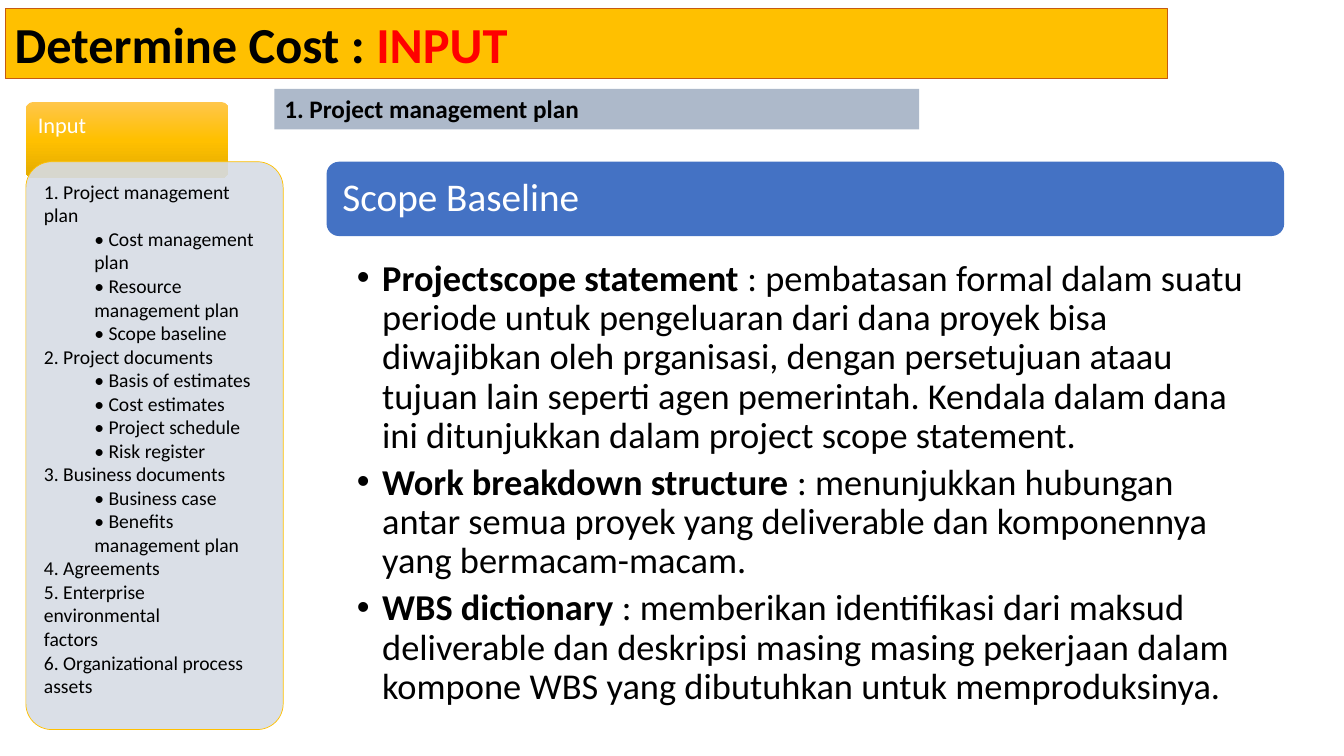
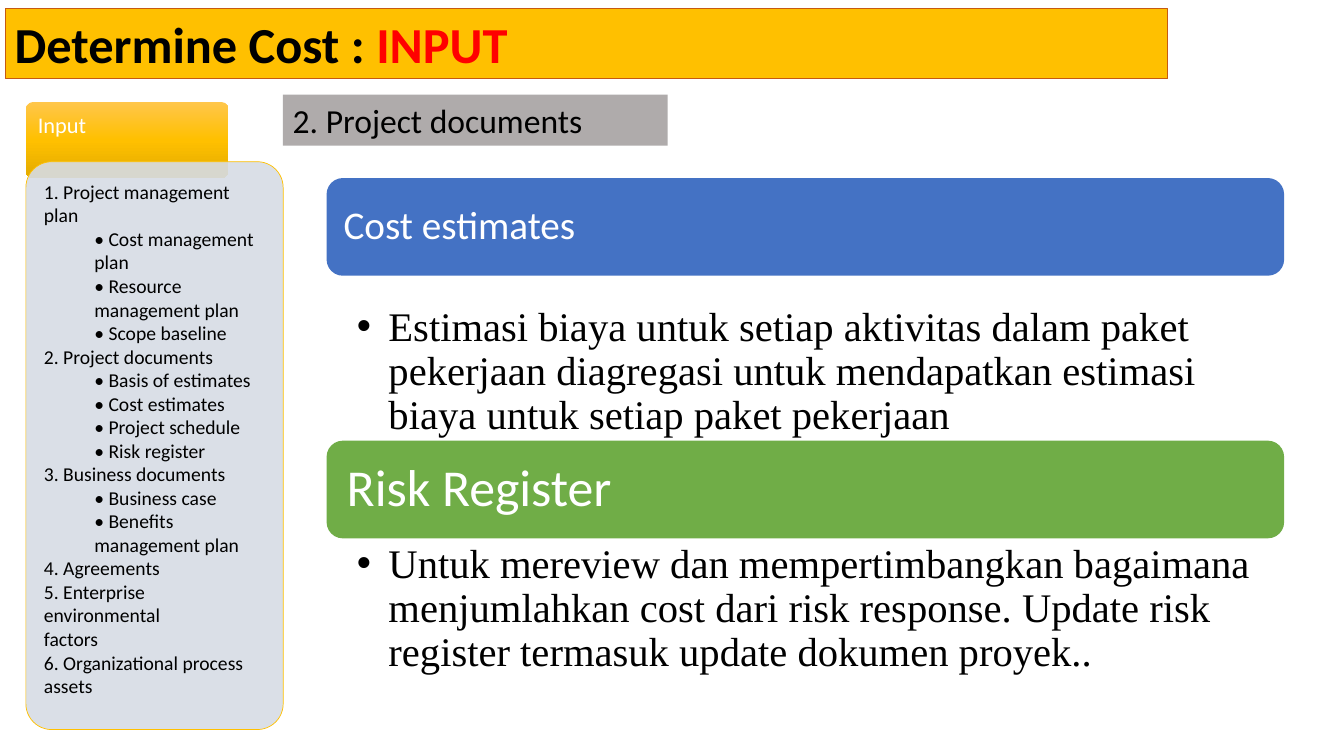
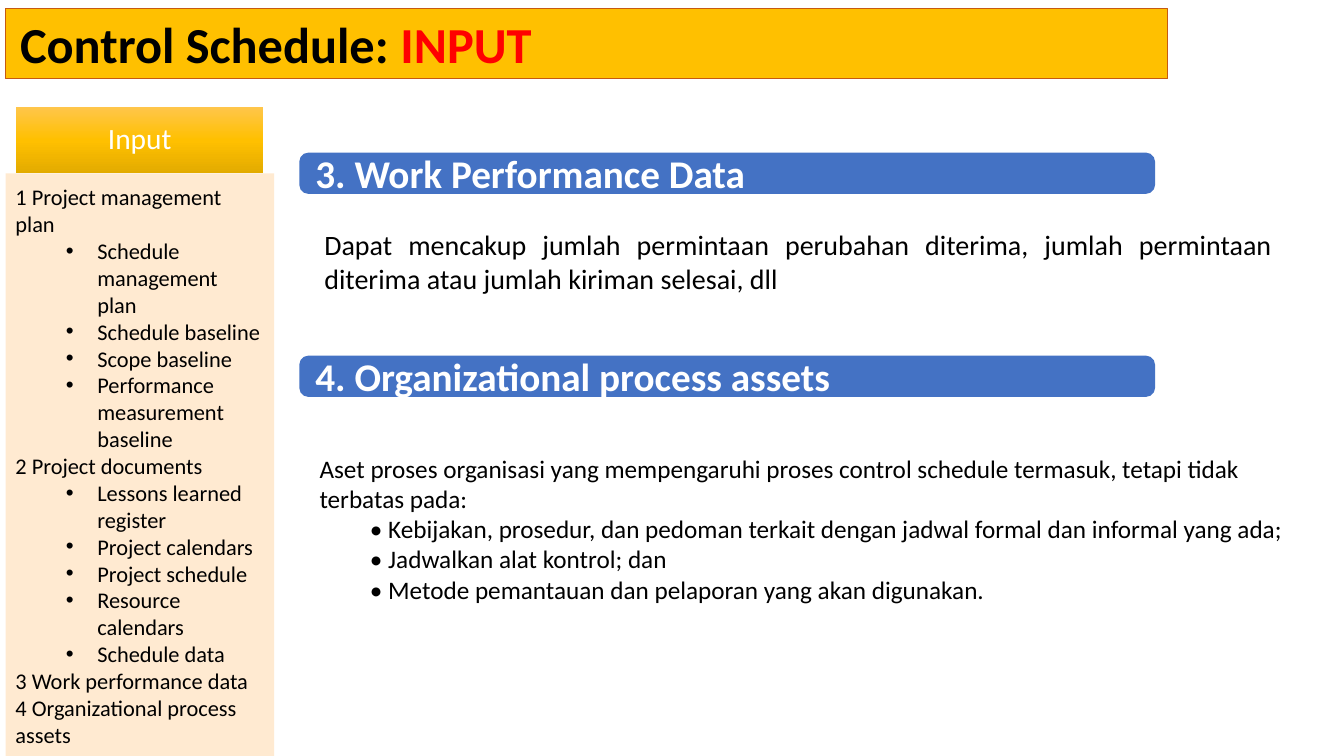
import copy
import dataclasses

import pptx
import pptx.dml.color
import pptx.enum.shapes
import pptx.enum.text
import pptx.oxml.ns
import pptx.oxml.xmlchemy
import pptx.util
from lxml import etree

Pt = pptx.util.Pt
qn = pptx.oxml.ns.qn
SHAPES = pptx.enum.shapes.MSO_SHAPE
ANCHOR = pptx.enum.text.MSO_ANCHOR
ALIGN = pptx.enum.text.PP_ALIGN

COLORS = {
    "black": "000000",
    "white": "FFFFFF",
    "red": "FF0000",
    "amber": "FFC000",
    "amber_light": "FFC64B",
    "amber_dark": "E3AB00",
    "rust": "C55A11",
    "blue": "4472C4",
    "green": "70AD47",
    "steel": "ADB9CA",
    "gray": "AFABAB",
    "mist": "D6DCE5",
    "peach": "FFE8CC",
}
BODY_FONT = "Calibri"
SERIF_FONT = "Times New Roman"
SECTION_LEFT, SECTION_WIDTH = 233.3, 684

COST_INPUTS = [
    ("1. Project management plan",
     ["Cost management plan", "Resource management plan", "Scope baseline"]),
    ("2. Project documents",
     ["Basis of estimates", "Cost estimates", "Project schedule", "Risk register"]),
    ("3. Business documents", ["Business case", "Benefits management plan"]),
    ("4. Agreements", []),
    ("5. Enterprise environmental", []),
    ("factors", []),
    ("6. Organizational process assets", []),
]
SCHEDULE_INPUTS = [
    ("1 Project management plan",
     ["Schedule management plan", "Schedule baseline", "Scope baseline",
      "Performance measurement baseline"]),
    ("2 Project documents",
     ["Lessons learned register", "Project calendars", "Project schedule",
      "Resource calendars", "Schedule data"]),
    ("3 Work performance data", []),
    ("4 Organizational process assets", []),
]
SCOPE_BASELINE = [
    ("Projectscope statement ",
     ": pembatasan formal dalam suatu periode untuk pengeluaran dari dana proyek bisa "
     "diwajibkan oleh prganisasi, dengan persetujuan ataau tujuan lain seperti agen "
     "pemerintah. Kendala dalam dana ini ditunjukkan dalam project scope statement."),
    ("Work breakdown structure ",
     ": menunjukkan hubungan antar semua proyek yang deliverable dan komponennya yang "
     "bermacam-macam."),
    ("WBS dictionary",
     " : memberikan identifikasi dari maksud deliverable dan deskripsi masing masing "
     "pekerjaan dalam kompone WBS yang dibutuhkan untuk memproduksinya."),
]
COST_ESTIMATES = (
    "Estimasi biaya untuk setiap aktivitas dalam paket pekerjaan diagregasi untuk "
    "mendapatkan estimasi biaya untuk setiap paket pekerjaan")
RISK_REGISTER = (
    "Untuk mereview dan mempertimbangkan bagaimana menjumlahkan cost dari risk response. "
    "Update risk register termasuk update dokumen proyek..")
PERFORMANCE_DATA = (
    "Dapat mencakup jumlah permintaan perubahan diterima, jumlah permintaan diterima atau "
    "jumlah kiriman selesai, dll")
PROCESS_ASSETS = [
    ("Aset proses organisasi yang mempengaruhi proses control schedule termasuk, tetapi "
     "tidak terbatas pada:",
     ["Kebijakan, prosedur, dan pedoman terkait dengan jadwal formal dan informal yang ada;",
      "Jadwalkan alat kontrol; dan",
      "Metode pemantauan dan pelaporan yang akan digunakan."]),
]


@dataclasses.dataclass
class Line:
    runs: list
    level: int = 0
    margin: float = 0
    hanging: float = 0
    bullet: bool = False


def plain(text, **layout):
    return Line([(text, {})], **layout)


def outline(groups, prefix="", **layout):
    lines = []
    for heading, items in groups:
        lines.append(plain(heading))
        lines += [plain(prefix + item, level=1, **layout) for item in items]
    return lines


def rgb(name):
    return pptx.dml.color.RGBColor.from_string(COLORS[name])


def add_bullet(properties):
    etree.SubElement(properties, qn("a:buFont")).set("typeface", "Arial")
    etree.SubElement(properties, qn("a:buChar")).set("char", "•")


def write(holder, lines, size, color="black", font=BODY_FONT, bold=False,
          insets=(7.2, 3.6, 7.2, 3.6), anchor=ANCHOR.TOP, align=ALIGN.LEFT,
          spacing=None, after=None):
    frame = holder.text_frame
    frame.word_wrap = True
    frame.vertical_anchor = anchor
    frame.margin_left, frame.margin_top, frame.margin_right, frame.margin_bottom = map(Pt, insets)
    for index, line in enumerate(lines):
        paragraph = frame.paragraphs[0] if index == 0 else frame.add_paragraph()
        paragraph.level = line.level
        paragraph.alignment = align
        if spacing:
            paragraph.line_spacing = spacing
        if after:
            paragraph.space_after = Pt(after)
        properties = paragraph._p.get_or_add_pPr()
        properties.set("marL", str(int(Pt(line.margin))))
        properties.set("indent", str(int(Pt(-line.hanging))))
        if line.bullet:
            add_bullet(properties)
        for text, style in line.runs:
            run = paragraph.add_run()
            run.text = text
            run.font.name = font
            run.font.size = Pt(size)
            run.font.bold = style.get("bold", bold)
            run.font.color.rgb = rgb(style.get("color", color))


def add_block(slide, box, fill=None, border=None, weight=0.5, radius=None, alpha=None):
    preset = SHAPES.RECTANGLE if radius is None else SHAPES.ROUNDED_RECTANGLE
    block = slide.shapes.add_shape(preset, *map(Pt, box))
    block.shadow.inherit = False
    if radius is not None:
        block.adjustments[0] = radius / min(box[2:])
    if fill:
        block.fill.solid()
        block.fill.fore_color.rgb = rgb(fill)
    if alpha:
        tint = block._element.spPr.find(qn("a:solidFill")).find(qn("a:srgbClr"))
        etree.SubElement(tint, qn("a:alpha")).set("val", str(alpha * 1000))
    if border:
        block.line.color.rgb = rgb(border)
        block.line.width = Pt(weight)
    else:
        block.line.fill.background()
    return block


def shade_amber(block):
    block.fill.gradient()
    block.fill.gradient_angle = 270
    stops = block._element.spPr.find(qn("a:gradFill")).find(qn("a:gsLst"))
    stops.insert(1, copy.deepcopy(stops[0]))
    shades = [(0, "amber_light"), (0.5, "amber"), (1, "amber_dark")]
    for stop, (position, shade) in zip(block.fill.gradient_stops, shades):
        stop.position = position
        stop.color.rgb = rgb(shade)


def add_text(slide, box, lines, size, **style):
    write(slide.shapes.add_textbox(*map(Pt, box)), lines, size, **style)


def add_title(slide, topic, left_inset=6.5):
    band = add_block(slide, (4, 6, 830, 50.4), "amber", "rust", 0.75)
    write(band, [Line([(topic, {}), ("INPUT", {"color": "red"})])], 36, bold=True,
          insets=(left_inset, 3.6, 6.5, 3.6))


def add_caption(slide, box, text, fill, size, bold=False):
    write(add_block(slide, box, fill), [plain(text)], size, bold=bold)


def add_section_bar(slide, top, height, text, fill="blue", size=28, inset=8.8):
    bar = add_block(slide, (SECTION_LEFT, top, SECTION_WIDTH, height), fill, radius=height / 6)
    write(bar, [plain(text)], size, "white", insets=(inset,) * 4,
          anchor=ANCHOR.MIDDLE, spacing=0.9)


def add_section_body(slide, top, height, lines, size, font, right_inset):
    add_text(slide, (SECTION_LEFT, top, SECTION_WIDTH, height), lines, size, font=font,
             insets=(21.7, 3.6, right_inset, 3.6), spacing=0.9, after=5.5)


def add_numbered_bar(slide, top, text):
    bar = add_block(slide, (213.8, top, 611.3, 29.5), "blue", radius=6.5)
    write(bar, [plain(text)], 28, "white", bold=True, insets=(9.6,) * 4, anchor=ANCHOR.MIDDLE)


def add_cost_sidebar(slide):
    tab = add_block(slide, (18.5, 72.8, 144.8, 54.5), radius=5.4)
    shade_amber(tab)
    write(tab, [plain("Input")], 16, "white", insets=(7, 7, 7, 21.4), spacing=0.9)
    panel = add_block(slide, (18.5, 115.5, 183.8, 405.6), "mist", "amber", radius=18.4, alpha=90)
    write(panel, outline(COST_INPUTS, "• ", margin=36), 14, insets=(7.5,) * 4)


def add_schedule_sidebar(slide):
    tab = add_block(slide, (11.5, 76.4, 176.5, 47.5))
    shade_amber(tab)
    write(tab, [plain("Input")], 21, "white", insets=(11.5, 6.5, 11.5, 6.5),
          anchor=ANCHOR.MIDDLE, align=ALIGN.CENTER, spacing=0.9)
    panel = add_block(slide, (4, 123.9, 191.8, 416.1), "peach", alpha=90)
    write(panel, outline(SCHEDULE_INPUTS, margin=58.5, hanging=22.5, bullet=True), 16,
          insets=(7.2, 7.2, 9.6, 10.8))


def build_project_plan(slide):
    add_title(slide, "Determine Cost : ")
    add_section_bar(slide, 115.5, 53.1, "Scope Baseline")
    statements = [Line([(term, {"bold": True}), (meaning, {})], 1, 18, 18, True)
                  for term, meaning in SCOPE_BASELINE]
    add_section_body(slide, 182, 333.4, statements, 26, BODY_FONT, 18.7)
    add_cost_sidebar(slide)
    add_caption(slide, (196, 63.4, 460.5, 29.1), "1. Project management plan", "steel", 18, True)


def build_project_documents(slide):
    add_title(slide, "Determine Cost : ")
    sections = [
        (127.2, 215.2, "Cost estimates", "blue", 28, 8.8, COST_ESTIMATES),
        (314.8, 384.6, "Risk Register", "green", 37, 11, RISK_REGISTER),
    ]
    for bar_top, body_top, heading, fill, size, inset, body in sections:
        add_section_bar(slide, bar_top, 69.8, heading, fill, size, inset)
        lines = [plain(body, level=1, margin=22.5, hanging=22.5, bullet=True)]
        add_section_body(slide, body_top, 99.4, lines, 29, SERIF_FONT, 20.9)
    add_cost_sidebar(slide)
    add_caption(slide, (202, 67.7, 275, 36.4), "2. Project documents", "gray", 24)


def build_control_schedule(slide):
    add_title(slide, "Control Schedule: ", 10.3)
    add_schedule_sidebar(slide)
    add_numbered_bar(slide, 109, "3. Work Performance Data")
    add_text(slide, (195.8, 159.1, 720, 79.9), [plain(PERFORMANCE_DATA, level=1, margin=28.8)],
             20, align=ALIGN.JUSTIFY)
    add_numbered_bar(slide, 254, "4. Organizational process assets")
    add_text(slide, (221.2, 320, 713, 116), outline(PROCESS_ASSETS, "• ", margin=36), 18)


def main():
    deck = pptx.Presentation()
    deck.slide_width, deck.slide_height = Pt(960), Pt(540)
    for build in (build_project_plan, build_project_documents, build_control_schedule):
        build(deck.slides.add_slide(deck.slide_layouts[6]))
    deck.save("out.pptx")


if __name__ == "__main__":
    main()
